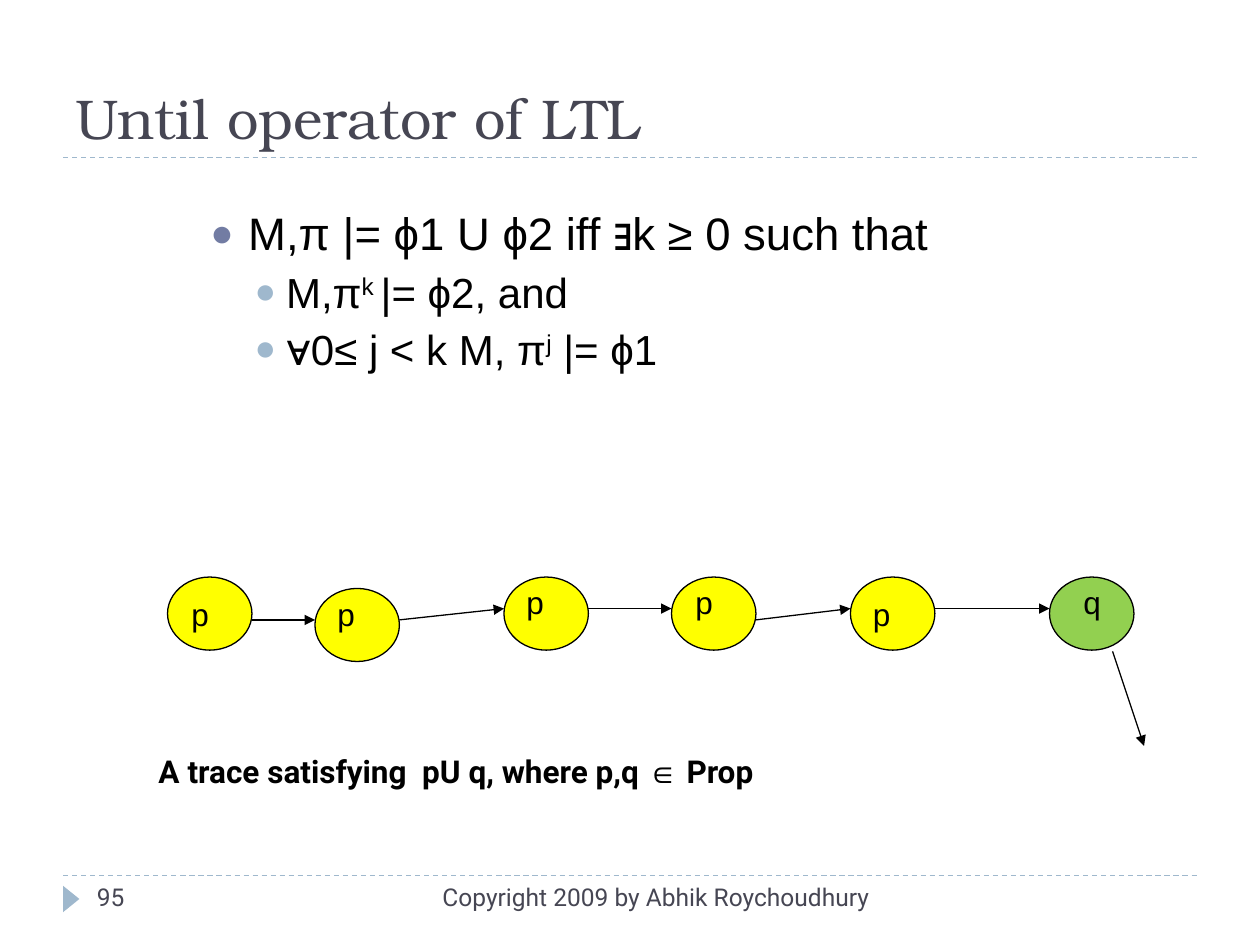
"""Build the slide on the Until operator of LTL."""
from lxml import etree
from pptx import Presentation
from pptx.dml.color import RGBColor
from pptx.enum.dml import MSO_LINE
from pptx.enum.shapes import MSO_CONNECTOR, MSO_SHAPE
from pptx.enum.text import MSO_ANCHOR, MSO_AUTO_SIZE, PP_ALIGN
from pptx.oxml.ns import qn
from pptx.util import Inches, Pt

STRAIGHT = MSO_CONNECTOR.STRAIGHT
OVAL, TRIANGLE = MSO_SHAPE.OVAL, MSO_SHAPE.ISOSCELES_TRIANGLE
TOP, BOTTOM = MSO_ANCHOR.TOP, MSO_ANCHOR.BOTTOM
LEFT, RIGHT = PP_ALIGN.LEFT, PP_ALIGN.RIGHT
DASH, NO_FIT = MSO_LINE.DASH, MSO_AUTO_SIZE.NONE

BLACK = RGBColor(0x00, 0x00, 0x00)
SLATE = RGBColor(0x46, 0x46, 0x53)
INDIGO = RGBColor(0x72, 0x7C, 0xA3)
SKY = RGBColor(0x9F, 0xB8, 0xCD)
YELLOW = RGBColor(0xFF, 0xFF, 0x00)
GREEN = RGBColor(0x92, 0xD0, 0x50)

TITLE = "Until operator of LTL"
TITLE_FORMAT = {"name": "TeX Gyre Bonum", "size": Pt(32), "color": SLATE}
FOOTER_FORMAT = {"name": "Roboto", "size": Pt(14), "color": SLATE}
LABEL_FORMAT = {"name": "Arial", "size": Pt(18), "color": BLACK}
CAPTION_FORMAT = {"name": "Roboto", "size": Pt(18), "color": BLACK, "bold": True}
SYMBOL_FORMAT = {**CAPTION_FORMAT, "name": "Arial"}

LEVELS = [
    {"size": 26, "margin": 0.3, "hang": 0.3, "bullet": INDIGO},
    {"size": 24, "margin": 0.6, "hang": 0.25, "bullet": SKY},
]
DEFINITION = [
    (0, [("M,π |= ϕ1 U ϕ2 iff ∃k ≥ 0 such that", False)]),
    (1, [("M,π", False), ("k ", True), ("|= ϕ2, and", False)]),
    (1, [("∀0≤ j < k M, π", False), ("j", True), (" |= ϕ1", False)]),
]
CAPTION = [
    ("A trace satisfying  pU q, where p,q ", CAPTION_FORMAT),
    ("∈", SYMBOL_FORMAT),
    (" Prop", CAPTION_FORMAT),
]
FOOTERS = [
    ("Copyright 2009 by Abhik Roychoudhury", 3.17, 3.83, RIGHT),
    ("95", 0.67, 2.17, LEFT),
]

HIGH, LOW = 4.58, 4.67
ARROW_HIGH, ARROW_LOW = 4.83, 4.92
STATE_WIDTH, STATE_HEIGHT = 0.67, 0.58
STATES = [
    ("p", 1.33, HIGH, YELLOW, 1.42, LOW),
    ("p", 2.5, LOW, YELLOW, 2.58, LOW),
    ("p", 4, HIGH, YELLOW, 4.08, HIGH),
    ("p", 5.33, HIGH, YELLOW, 5.42, HIGH),
    ("p", 6.75, HIGH, YELLOW, 6.83, LOW),
    ("q", 8.33, HIGH, GREEN, 8.5, HIGH),
]
STEPS = [
    (ARROW_LOW, ARROW_LOW),
    (ARROW_LOW, ARROW_HIGH),
    (ARROW_HIGH, ARROW_HIGH),
    (ARROW_LOW, ARROW_HIGH),
    (ARROW_HIGH, ARROW_HIGH),
]
RULES = [1.25, 6.95]


def add_span(para, text, formats):
    span = para.add_run()
    span.text = text
    for name, value in formats.items():
        if name == "color":
            span.font.color.rgb = value
        else:
            setattr(span.font, name, value)
    return span


def place(shape, left, top, width, height):
    shape.left, shape.top = Inches(left), Inches(top)
    shape.width, shape.height = Inches(width), Inches(height)


def add_text(slide, spans, left, top, width, align=LEFT, wrap=True):
    box = slide.shapes.add_textbox(Inches(left), Inches(top), Inches(width), Inches(0.4))
    box.text_frame.word_wrap = wrap
    para = box.text_frame.paragraphs[0]
    para.alignment = align
    for text, formats in spans:
        add_span(para, text, formats)


def add_line(slide, start, end, color):
    ends = [Inches(value) for value in (*start, *end)]
    line = slide.shapes.add_connector(STRAIGHT, *ends)
    line.line.color.rgb = color
    line.line.width = Pt(0.75)
    etree.SubElement(line._element.spPr, qn("a:effectLst"))
    return line


def add_arrow(slide, start, end):
    arrow = add_line(slide, start, end, BLACK)
    etree.SubElement(arrow.line._get_or_add_ln(), qn("a:tailEnd"), type="triangle")


def add_bullet(para, level):
    props = para._p.get_or_add_pPr()
    props.set("marL", str(Inches(level["margin"])))
    props.set("indent", str(-Inches(level["hang"])))
    color = etree.SubElement(props, qn("a:buClr"))
    etree.SubElement(color, qn("a:srgbClr"), val=str(level["bullet"]))
    etree.SubElement(props, qn("a:buSzPct"), val="85000")
    etree.SubElement(props, qn("a:buFont"), typeface="Arial")
    etree.SubElement(props, qn("a:buChar"), char="●")


def add_frame(slide):
    for top in RULES:
        add_line(slide, (0.5, top), (9.5, top), SKY).line.dash_style = DASH
    marker = slide.shapes.add_shape(
        TRIANGLE, Inches(0.46), Inches(7.07), Inches(0.21), Inches(0.13))
    marker.rotation = 90
    marker.shadow.inherit = False
    marker.fill.solid()
    marker.fill.fore_color.rgb = SKY
    marker.line.fill.background()
    for text, left, width, align in FOOTERS:
        add_text(slide, [(text, FOOTER_FORMAT)], left, 6.95, width, align)


def fill_placeholders(slide):
    title, body = slide.shapes.title, slide.placeholders[1]
    place(title, 0.5, 0.17, 9, 1.08)
    place(body, 1.57, 1.58, 8.2, 5.25)
    for shape, anchor in ((title, BOTTOM), (body, TOP)):
        shape.text_frame.auto_size = NO_FIT
        shape.text_frame.vertical_anchor = anchor
    heading = title.text_frame.paragraphs[0]
    heading.alignment = LEFT
    add_span(heading, TITLE, TITLE_FORMAT)

    frame = body.text_frame
    for index, (depth, spans) in enumerate(DEFINITION):
        para = frame.add_paragraph() if index else frame.paragraphs[0]
        level = LEVELS[depth]
        para.level = depth
        add_bullet(para, level)
        para.space_before = Pt(3.7 if index else 0)
        formats = {"name": "Arial", "size": Pt(level["size"]), "color": BLACK}
        for text, raised in spans:
            span = add_span(para, text, formats)
            if raised:
                span._r.get_or_add_rPr().set("baseline", "30000")


def add_trace(slide):
    for name, left, top, color, label_left, label_top in STATES:
        state = slide.shapes.add_shape(
            OVAL, Inches(left), Inches(top), Inches(STATE_WIDTH), Inches(STATE_HEIGHT))
        state.shadow.inherit = False
        state.fill.solid()
        state.fill.fore_color.rgb = color
        state.line.color.rgb = BLACK
        state.line.width = Pt(0.75)
        add_text(slide, [(name, LABEL_FORMAT)], label_left, label_top, 0.45)
    for source, target, (start, end) in zip(STATES, STATES[1:], STEPS):
        add_arrow(slide, (source[1] + STATE_WIDTH, start), (target[1], end))
    add_arrow(slide, (8.83, 5.17), (9.08, 5.92))
    add_text(slide, CAPTION, 1.16, 5.92, 5.34, wrap=False)


def main():
    deck = Presentation()
    deck.slide_width, deck.slide_height = Inches(10), Inches(7.5)
    slide = deck.slides.add_slide(deck.slide_layouts[1])
    add_frame(slide)
    fill_placeholders(slide)
    add_trace(slide)
    deck.save("out.pptx")


if __name__ == "__main__":
    main()
